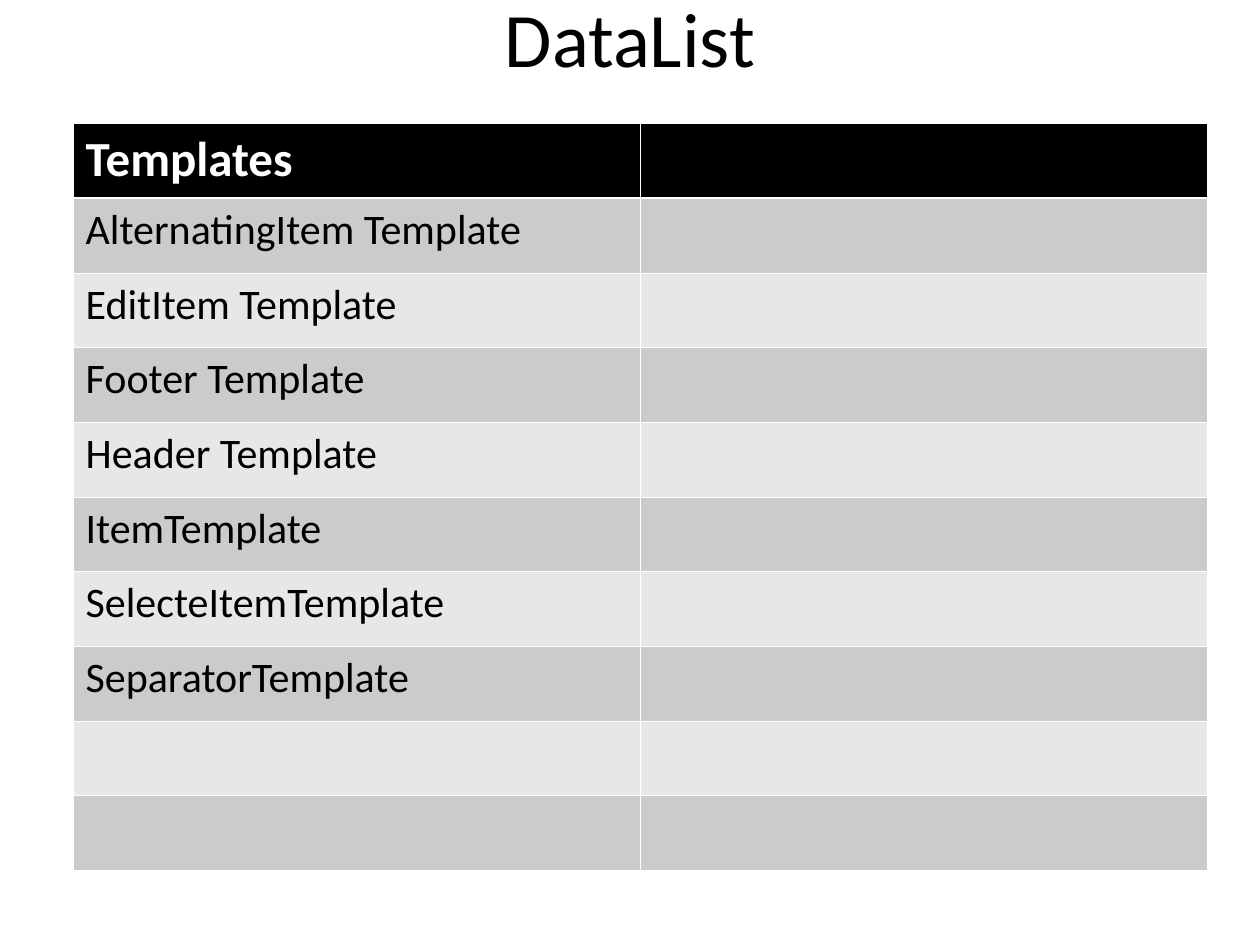
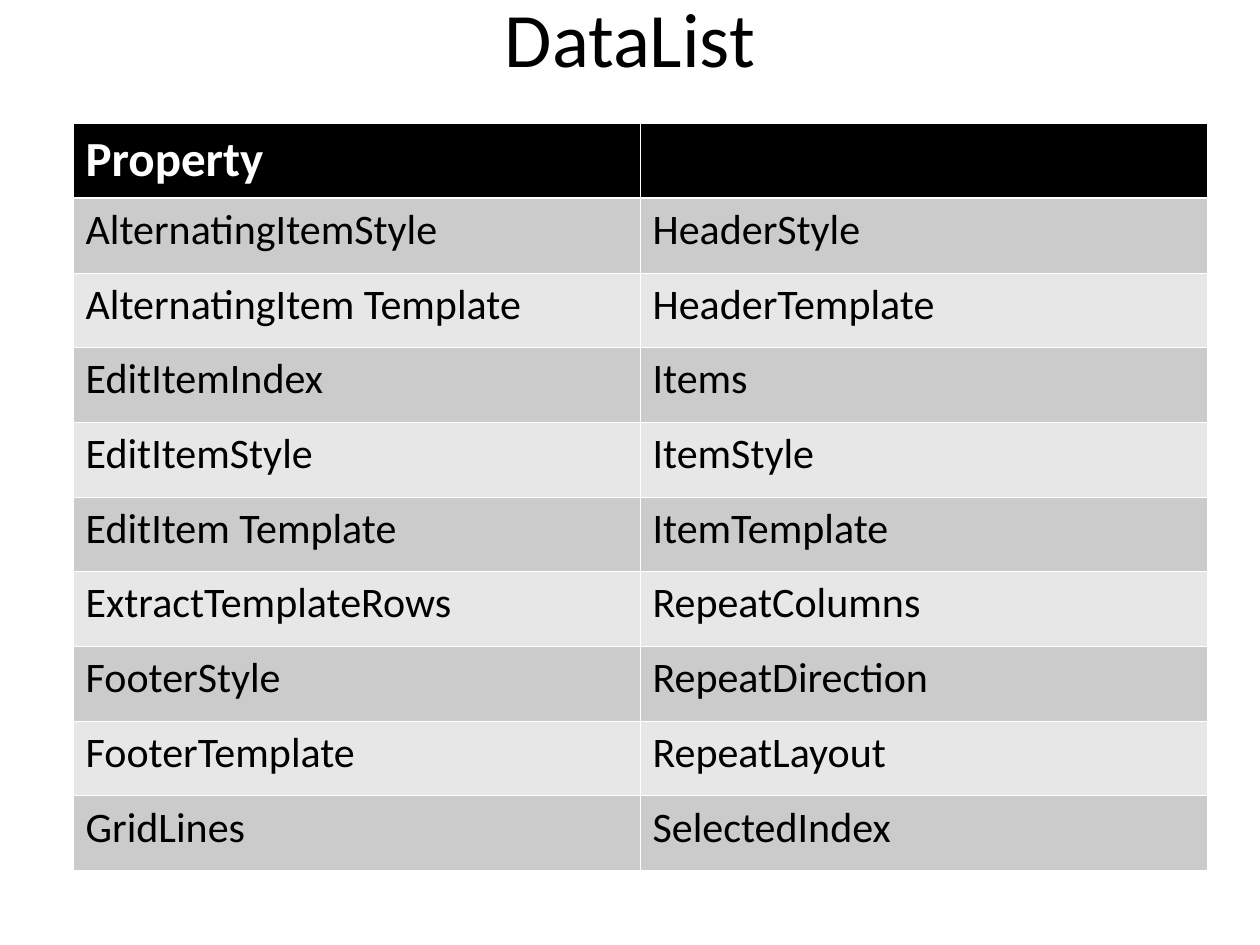
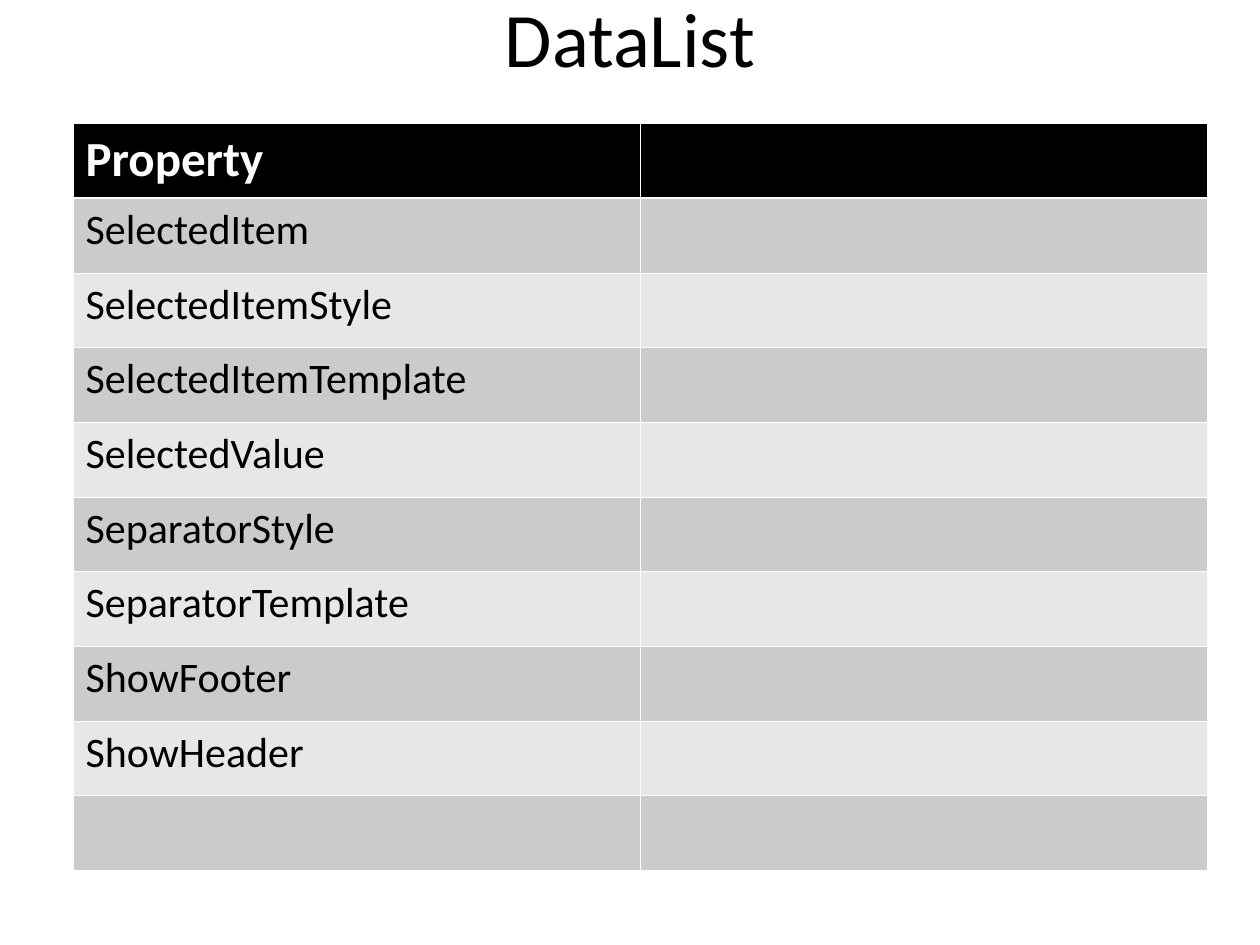
from itertools import zip_longest

from lxml.etree import SubElement
from pptx import Presentation
from pptx.dml.color import RGBColor
from pptx.enum.text import MSO_ANCHOR, PP_ALIGN
from pptx.oxml.ns import qn
from pptx.util import Inches, Pt

COLORS = {
    "text": "000000",
    "header": "000000",
    "header_text": "FFFFFF",
    "grid": "FFFFFF",
    "band_dark": "CBCBCB",
    "band_light": "E7E7E7",
}
FONT = "Calibri"
ROWS, COLS = 10, 2
THIN, THICK = 0.45, 1.47

# Slide contents: heading and the columns below it
TEMPLATES = [
    "AlternatingItem Template", "EditItem Template", "Footer Template",
    "Header Template", "ItemTemplate", "SelecteItemTemplate",
    "SeparatorTemplate",
]
PROPERTIES_LEFT = [
    "AlternatingItemStyle", "AlternatingItem Template", "EditItemIndex",
    "EditItemStyle", "EditItem Template", "ExtractTemplateRows",
    "FooterStyle", "FooterTemplate", "GridLines",
]
PROPERTIES_RIGHT = [
    "HeaderStyle", "HeaderTemplate", "Items", "ItemStyle", "ItemTemplate",
    "RepeatColumns", "RepeatDirection", "RepeatLayout", "SelectedIndex",
]
MORE_PROPERTIES = [
    "SelectedItem", "SelectedItemStyle", "SelectedItemTemplate",
    "SelectedValue", "SeparatorStyle", "SeparatorTemplate", "ShowFooter",
    "ShowHeader",
]
SLIDES = [
    ("Templates", [TEMPLATES]),
    ("Property", [PROPERTIES_LEFT, PROPERTIES_RIGHT]),
    ("Property", [MORE_PROPERTIES]),
]


def rgb(name):
    return RGBColor.from_string(COLORS[name])


def write(tf, text, size=24, color="text", bold=False, align=PP_ALIGN.LEFT):
    """Put one formatted paragraph into a text frame."""
    p = tf.paragraphs[0]
    p.alignment = align
    r = p.add_run()
    r.text = text
    r.font.name = FONT
    r.font.size = Pt(size)
    r.font.bold = bold
    r.font.color.rgb = rgb(color)


class Deck:
    """Holds the shared style and the current slide."""

    def __init__(self):
        self.prs = Presentation()
        self.prs.slide_width = Inches(10)
        self.prs.slide_height = Inches(7.5)
        self.slide = None

    def add_slide(self, title):
        self.slide = self.prs.slides.add_slide(self.prs.slide_layouts[5])
        sp = self.slide.shapes.title
        sp.left, sp.top = Inches(0.5), Inches(-0.33)
        sp.width, sp.height = Inches(9), Inches(1.25)
        sp.text_frame.vertical_anchor = MSO_ANCHOR.MIDDLE
        write(sp.text_frame, title, size=44, align=PP_ALIGN.CENTER)

    def border(self, cell, side, width):
        tc_pr = cell._tc.get_or_add_tcPr()
        ln = SubElement(tc_pr, qn(f"a:ln{side}"), w=str(Pt(width)))
        fill = SubElement(ln, qn("a:solidFill"))
        SubElement(fill, qn("a:srgbClr"), val=COLORS["grid"])

    def style_cell(self, cell, row):
        # The line under the header row is thicker than the rest
        widths = {"L": THIN, "R": THIN,
                  "T": THICK if row == 1 else THIN,
                  "B": THICK if row == 0 else THIN}
        for side, width in widths.items():
            self.border(cell, side, width)
        band = "band_dark" if row % 2 else "band_light"
        cell.fill.solid()
        cell.fill.fore_color.rgb = rgb(band if row else "header")

    def add_table(self, heading, columns):
        table = self.slide.shapes.add_table(
            ROWS, COLS, Inches(0.58), Inches(0.98), Inches(9), Inches(5.93)
        ).table
        for row in range(ROWS):
            for col in range(COLS):
                self.style_cell(table.cell(row, col), row)
        write(table.cell(0, 0).text_frame, heading,
              size=28, color="header_text", bold=True)
        for row, names in enumerate(zip_longest(*columns), start=1):
            for col, name in enumerate(names):
                write(table.cell(row, col).text_frame, name)


def main():
    deck = Deck()
    for heading, columns in SLIDES:
        deck.add_slide("DataList")
        deck.add_table(heading, columns)
    deck.prs.save("out.pptx")


if __name__ == "__main__":
    main()
